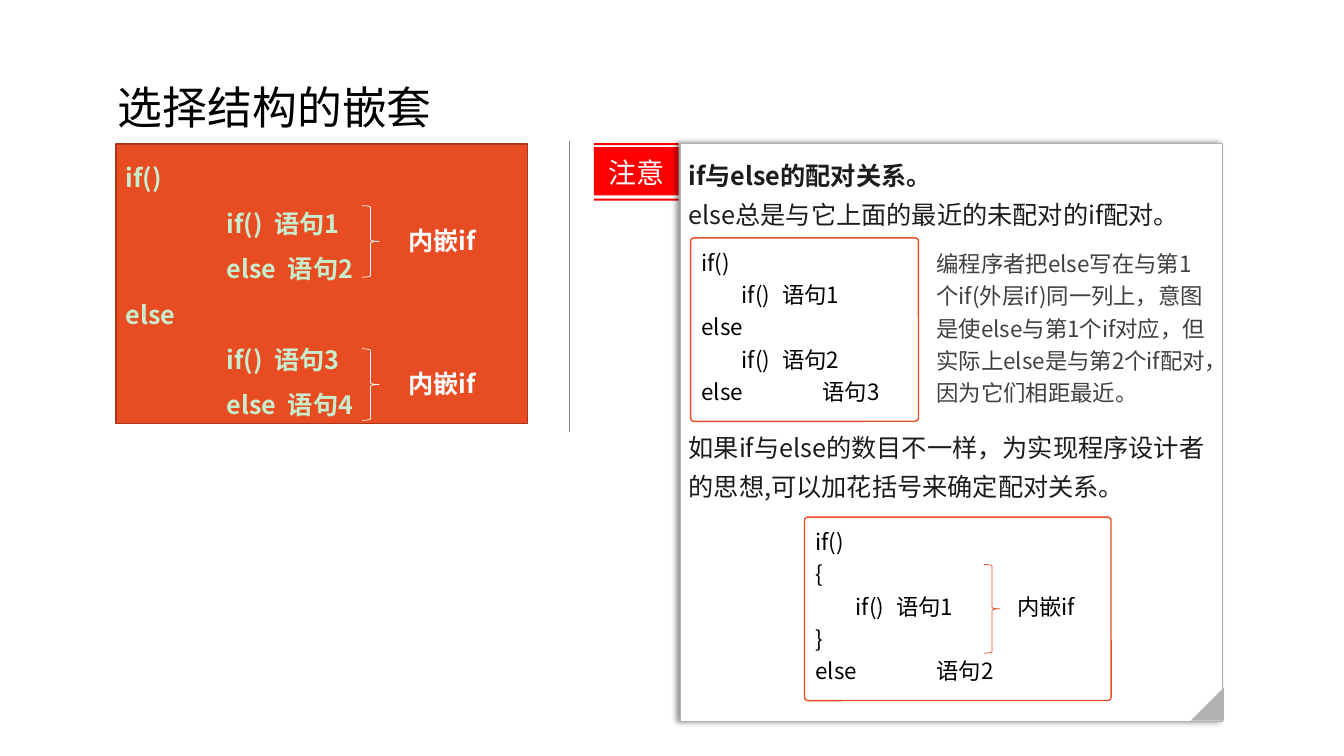
from dataclasses import dataclass

from lxml.etree import SubElement
from pptx import Presentation
from pptx.dml.color import RGBColor
from pptx.enum.shapes import MSO_CONNECTOR as Line, MSO_SHAPE as Shape
from pptx.enum.text import MSO_ANCHOR as Anchor, PP_ALIGN as Align
from pptx.oxml.ns import qn
from pptx.util import Inches, Pt


@dataclass(frozen=True)
class Theme:
    font: str = "Noto Sans CJK SC"
    orange: str = "E84C22"
    rust: str = "AC3819"
    mint: str = "C7EDCC"
    white: str = "FFFFFF"
    paper: str = "FEFFFF"
    red: str = "FF0000"
    black: str = "000000"
    ink: str = "1C1C1C"
    slate: str = "404040"
    grey: str = "B2B2B2"
    rule: str = "808080"
    title: int = 32
    badge: int = 20
    body: int = 18
    code: int = 16


THEME = Theme()

# Content
TITLE = "选择结构的嵌套"
NESTED_CODE = ["if()", "\tif()  语句1", "\telse  语句2",
               "else", "\tif()  语句3", "\telse  语句4"]
INNER_LABEL = "内嵌if"
BADGE = "注意"
RULE_HEADING = "if与else的配对关系。"
RULE = "else总是与它上面的最近的未配对的if配对。"
ADVICE = "如果if与else的数目不一样，为实现程序设计者的思想,可以加花括号来确定配对关系。"
EXPLANATION = ("编程序者把else写在与第1个if(外层if)同一列上，意图是使else与第1个if对应，"
               "但实际上else是与第2个if配对，因为它们相距最近。")
CODE_CARDS = [
    ((6.85, 2.36, 2.26, 1.82),
     ["if()", "\tif()\t语句1", "else", "\tif()\t语句2", "else\t\t语句3"]),
    ((7.98, 5.13, 3.04, 1.82),
     ["if()", "{", "\tif()\t语句1\t\t内嵌if", "}", "else\t\t语句2"]),
]

# Geometry
INNER_TOPS = [2.04, 3.46]
BADGE_LEFT, BADGE_RIGHT = 5.89, 6.73
BADGE_BARS = [(1.42, 1.44), (1.46, 1.94), (1.97, 1.99)]
CARD_TAB = 0.4
ADVICE_GAP = 138

deck = Presentation()
deck.slide_width, deck.slide_height = Inches(13.33), Inches(7.5)
slide = deck.slides.add_slide(deck.slide_layouts[5])
shapes = slide.shapes


def rgb(color):
    return RGBColor.from_string(color)


def box(area):
    return [Inches(length) for length in area]


def paint(shape, fill=None, line=None, width=1):
    shape.shadow.inherit = False
    if fill:
        shape.fill.solid()
        shape.fill.fore_color.rgb = rgb(fill)
    else:
        shape.fill.background()
    if line:
        shape.line.color.rgb = rgb(line)
        shape.line.width = Pt(width)
    else:
        shape.line.fill.background()
    return shape


def write(shape, lines, size, color, spacing=1.0, bold=False,
          anchor=Anchor.TOP, align=Align.LEFT, tab=None):
    frame = shape.text_frame
    frame.word_wrap = True
    frame.vertical_anchor = anchor
    for index, line in enumerate(lines):
        paragraph = frame.add_paragraph() if index else frame.paragraphs[0]
        paragraph.alignment = align
        paragraph.line_spacing = spacing
        if tab:
            paragraph._p.get_or_add_pPr().set("defTabSz", str(Inches(tab)))
        run = paragraph.add_run()
        run.text = line
        font = run.font
        font.size, font.bold, font.name = Pt(size), bold, THEME.font
        font.color.rgb = rgb(color)
        SubElement(run._r.get_or_add_rPr(), qn("a:ea"), typeface=THEME.font)
    return frame


def brace(area, color):
    paint(shapes.add_shape(Shape.RIGHT_BRACE, *box(area)), line=color, width=0.5)


# Title
title = shapes.title
title.left, title.top, title.width, title.height = box((1.07, 0.37, 6.48, 1.45))
write(title, [TITLE], THEME.title, THEME.black, 0.9, anchor=Anchor.MIDDLE)

# Nested code panel with its inner labels
nested = paint(shapes.add_shape(Shape.RECTANGLE, *box((1.15, 1.43, 4.08, 2.77))),
               THEME.orange, THEME.rust)
write(nested, NESTED_CODE, THEME.body, THEME.mint, 1.5, True, Anchor.MIDDLE, tab=1)
for top in INNER_TOPS:
    brace((3.59, top, 0.17, 0.71), THEME.white)
    label = shapes.add_textbox(*box((3.95, top + 0.15, 1.11, 0.4)))
    write(label, [INNER_LABEL], THEME.body, THEME.white, bold=True)

# Notice badge: a band between two thin bars
left, right = Inches(BADGE_LEFT), Inches(BADGE_RIGHT)
outline = None
for bar_top, bar_bottom in BADGE_BARS:
    top, bottom = Inches(bar_top), Inches(bar_bottom)
    if outline is None:
        outline = shapes.build_freeform(left, top)
    else:
        outline.move_to(left, top)
    outline.add_line_segments([(right, top), (right, bottom), (left, bottom)])
badge = paint(outline.convert_to_shape(), THEME.red)
write(badge, [BADGE], THEME.badge, THEME.paper,
      anchor=Anchor.MIDDLE, align=Align.CENTER)

# Notice sheet with a soft shadow on its left
sheet = paint(shapes.add_shape(Shape.RECTANGLE, *box((6.75, 1.42, 5.38, 5.74))),
              THEME.paper, THEME.grey, 0.75)
effects = sheet._element.spPr.find(qn("a:effectLst"))
shadow = SubElement(effects, qn("a:outerShdw"), blurRad=str(Pt(4)), dist=str(Pt(3)),
                    dir="10800000", algn="r", rotWithShape="0")
shade = SubElement(shadow, qn("a:srgbClr"), val=THEME.black)
SubElement(shade, qn("a:alpha"), val="40000")
notice = write(sheet, [RULE_HEADING, RULE, ADVICE], THEME.body, THEME.ink, 1.3)
notice.margin_left = notice.margin_right = Inches(0.08)
notice.margin_top = notice.margin_bottom = Inches(0.08)
notice.paragraphs[0].runs[0].font.bold = True
notice.paragraphs[2].space_before = Pt(ADVICE_GAP)

# Folded corner
corner = paint(shapes.add_shape(Shape.RIGHT_TRIANGLE, *box((11.81, 6.82, 0.33, 0.33))),
               THEME.grey)
corner.rotation = 270

# Divider
divider = shapes.add_connector(Line.STRAIGHT, *box((5.65, 1.4, 5.65, 4.29)))
divider.line.color.rgb = rgb(THEME.rule)
divider.line.width = Pt(0.5)
SubElement(divider._element.spPr, qn("a:effectLst"))

# Code cards, explanation and brace
for area, code in CODE_CARDS:
    card = paint(shapes.add_shape(Shape.ROUNDED_RECTANGLE, *box(area)),
                 THEME.white, THEME.orange)
    card.adjustments[0] = 0.018
    write(card, code, THEME.code, THEME.black, 1.2, tab=CARD_TAB)
explanation = shapes.add_textbox(*box((9.19, 2.38, 2.86, 1.72)))
write(explanation, [EXPLANATION], THEME.code, THEME.slate, 1.2)
brace((9.76, 5.6, 0.16, 0.88), THEME.orange)

deck.save("out.pptx")
